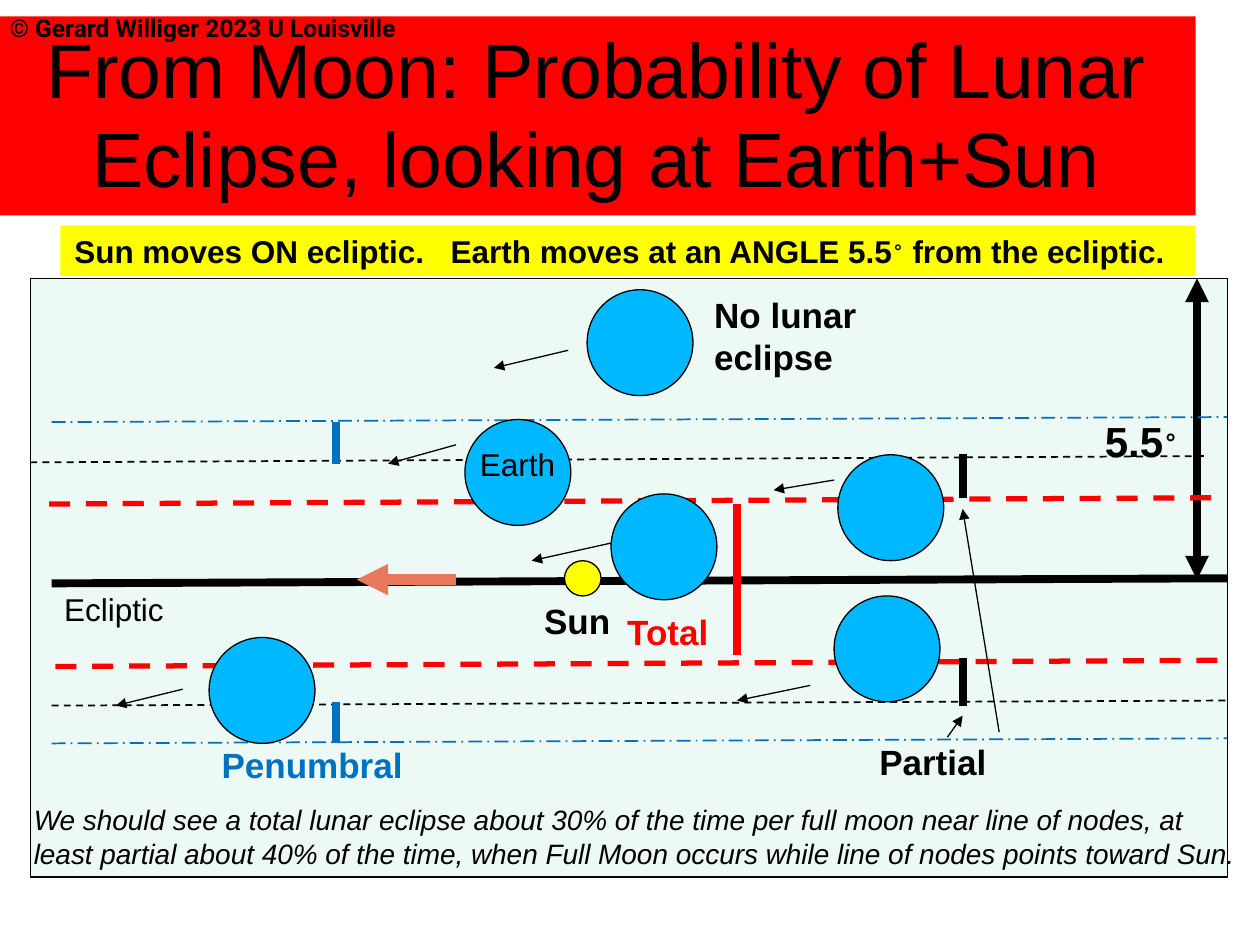
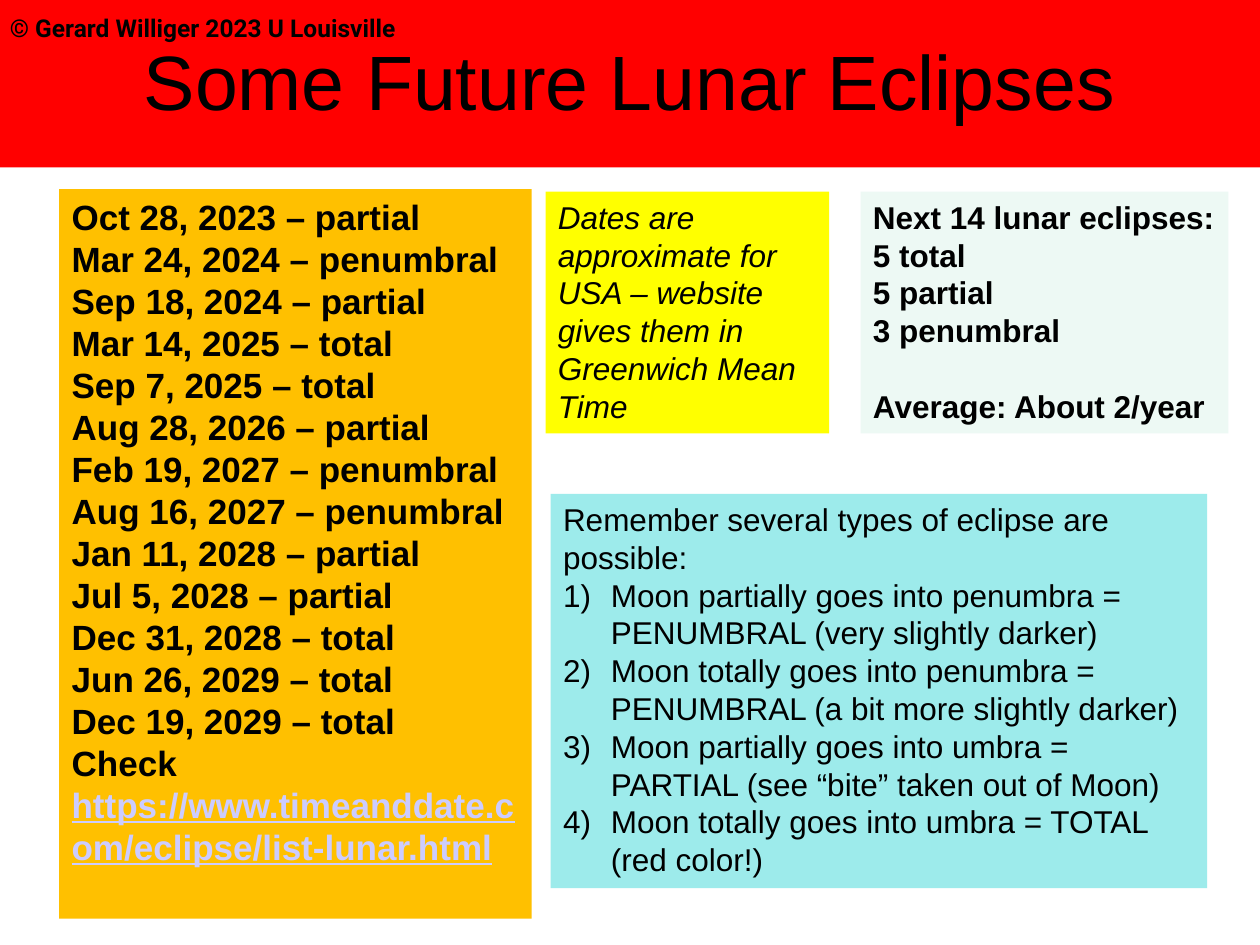
from lxml import etree
from pptx import Presentation
from pptx.dml.color import RGBColor
from pptx.enum.dml import MSO_LINE
from pptx.enum.shapes import MSO_CONNECTOR, MSO_SHAPE
from pptx.enum.text import MSO_ANCHOR, PP_ALIGN
from pptx.oxml.ns import qn
from pptx.util import Inches, Pt

RECT, OVAL = MSO_SHAPE.RECTANGLE, MSO_SHAPE.OVAL
LEFT, CENTER = PP_ALIGN.LEFT, PP_ALIGN.CENTER
TOP, MIDDLE, BOTTOM = MSO_ANCHOR.TOP, MSO_ANCHOR.MIDDLE, MSO_ANCHOR.BOTTOM
STRAIGHT = MSO_CONNECTOR.STRAIGHT
DASH, DOTTED = MSO_LINE.DASH, MSO_LINE.LONG_DASH_DOT

BLACK, RED, YELLOW, BLUE = "000000", "FF0000", "FFFF00", "0070C0"
EARTH, MINT, AMBER, AQUA = "00B8FF", "EDF9F4", "FFC000", "9DEBEB"
CORAL, LINK = "E8795C", "CCCCFF"
DISC = 0.84
INSETS = (0.1, 0.05, 0.1, 0.05)
DEGREE = ("∘", {"raised": True})


def rgb(code):
    return RGBColor.from_string(code)


def node(parent, tag, **attrs):
    return etree.SubElement(parent, qn(tag), attrs)


# Elements
def shape(slide, kind, box, fill, line=None):
    item = slide.shapes.add_shape(kind, *map(Inches, box))
    item.shadow.inherit = False
    item.fill.solid()
    item.fill.fore_color.rgb = rgb(fill)
    if line:
        item.line.color.rgb = rgb(line)
        item.line.width = Pt(0.75)
    else:
        item.line.fill.background()
    return item


def line(slide, start, end, color=BLACK, width=0.75, dash=None,
         head=False, tail=False):
    item = slide.shapes.add_connector(STRAIGHT, *map(Inches, start + end))
    item.line.color.rgb = rgb(color)
    item.line.width = Pt(width)
    if dash:
        item.line.dash_style = dash
    ln = item.line._get_or_add_ln()
    for tag, shown in (("a:headEnd", head), ("a:tailEnd", tail)):
        if shown:
            node(ln, tag, type="triangle")
    node(item._element.spPr, "a:effectLst")


def number(para):
    props = para._p.get_or_add_pPr()
    props.set("marL", str(Inches(0.38)))
    props.set("indent", str(Inches(-0.38)))
    node(node(props, "a:buClr"), "a:srgbClr", val=BLACK)
    node(props, "a:buAutoNum", type="arabicParenR")


def add_run(para, words, size, color, bold, italic, font,
            under=False, raised=False, gap=0):
    run = para.add_run()
    run.text = words
    face = run.font
    face.name, face.size, face.bold, face.italic = font, Pt(size), bold, italic
    face.color.rgb = rgb(color)
    if under:
        face.underline = True
    if raised:
        run._r.get_or_add_rPr().set("baseline", "30000")
    if gap:
        run._r.get_or_add_rPr().set("spc", str(gap * 100))


def text(slide, box, paras, fill=None, size=18, color=BLACK, bold=False,
         italic=False, font="Arial", align=LEFT, anchor=TOP, insets=INSETS,
         spacing=None, first=None, before=None):
    """Each paragraph is a string or a list of strings and (words, format).

    Paragraphs from index first on are numbered; before maps an index
    to its space before in points.
    """
    if fill:
        item = shape(slide, RECT, box, fill)
    else:
        item = slide.shapes.add_textbox(*map(Inches, box))
    frame = item.text_frame
    frame.word_wrap = True
    frame.vertical_anchor = anchor
    (frame.margin_left, frame.margin_top,
     frame.margin_right, frame.margin_bottom) = map(Inches, insets)
    for i, runs in enumerate(paras):
        para = frame.add_paragraph() if i else frame.paragraphs[0]
        para.alignment = align
        if spacing:
            para.line_spacing = spacing
        if before and i in before:
            para.space_before = Pt(before[i])
        if first is not None and i >= first:
            number(para)
        for run in [runs] if isinstance(runs, str) else runs:
            words, extra = (run, {}) if isinstance(run, str) else run
            base = dict(size=size, color=color, bold=bold,
                        italic=italic, font=font)
            add_run(para, words, **(base | extra))


# Shared by the slides
def title(slide, box, words):
    text(slide, box, [words], fill=RED, size=44, align=CENTER,
         anchor=MIDDLE, spacing=0.97)


def credit(slide):
    text(slide, (-0.02, 0, 3.69, 0.44),
         ["© Gerard Williger 2023 U Louisville"], size=14, bold=True,
         font="Roboto", anchor=BOTTOM, insets=(0.1,) * 4)


# Slide 1
def odds(slide):
    title(slide, (-0.02, 0.13, 9.51, 1.58),
          "From Moon: Probability of Lunar Eclipse, looking at Earth+Sun")
    shape(slide, RECT, (0.24, 2.21, 9.5, 4.75), MINT, BLACK)

    # Ecliptic, angle and Sun
    line(slide, (0.41, 4.63), (9.74, 4.59), width=4.5)
    text(slide, (0.41, 4.63, 2.08, 0.4), ["Ecliptic"])
    line(slide, (9.5, 2.21), (9.5, 4.6), width=4.5, head=True, tail=True)
    text(slide, (8.67, 3.25, 1.17, 0.5), [["5.5", DEGREE]],
         size=24, bold=True)
    shape(slide, OVAL, (4.48, 4.45, 0.29, 0.28), YELLOW, BLACK)

    # Shadow limits: left, its height, right height, format
    for x, y1, y2, color, width, dash in (
            (0.44, 5.29, 5.24, RED, 3, DASH),
            (0.39, 4, 3.95, RED, 3, DASH),
            (0.24, 3.67, 3.62, BLACK, 1, DASH),
            (0.41, 3.35, 3.31, BLUE, 1, DOTTED),
            (0.41, 5.6, 5.56, BLACK, 1, DASH),
            (0.41, 5.9, 5.86, BLUE, 1, DOTTED)):
        line(slide, (x, y1), (x + 9.33, y2), color, width, dash)

    # Bars that mark each kind of eclipse
    for x, y1, y2, color in (
            (5.85, 4, 5.2, RED),
            (7.64, 3.6, 3.95, BLACK), (7.64, 5.22, 5.6, BLACK),
            (2.67, 5.57, 5.9, BLUE), (2.67, 3.35, 3.68, BLUE)):
        line(slide, (x, y1), (x, y2), color, 4.5)

    # Motion arrows, then the two pointers from "Partial"
    for start, end in (
            ((4.51, 2.78), (3.92, 2.92)), ((3.62, 3.53), (3.08, 3.68)),
            ((4.85, 4.31), (4.22, 4.45)), ((6.62, 3.81), (6.14, 3.89)),
            ((1.45, 5.47), (0.92, 5.6)), ((6.43, 5.44), (5.85, 5.56)),
            ((7.52, 5.85), (7.64, 5.68)), ((7.93, 5.81), (7.64, 4.04))):
        line(slide, start, end, tail=True)

    # Labels
    for box, words, color in (
            ((4.22, 4.71, 0.96, 0.44), "Sun", BLACK),
            ((4.88, 4.8, 1.07, 0.44), "Total", RED),
            ((6.88, 5.83, 1.29, 0.44), "Partial", BLACK),
            ((1.66, 5.85, 1.68, 0.44), "Penumbral", BLUE),
            ((5.57, 2.28, 1.84, 0.77), "No lunar eclipse", BLACK)):
        text(slide, box, [words], size=20, color=color, bold=True)
    text(slide, (0.17, 6.32, 9.84, 0.64),
         ["We should see a total lunar eclipse about 30% of the time per "
          "full moon near line of nodes, at least partial about 40% of the "
          "time, when Full Moon occurs while line of nodes points toward "
          "Sun."], size=16, italic=True)

    # Earth at each place
    for x, y in ((4.66, 2.3), (3.69, 3.33), (6.65, 3.61), (4.85, 3.92),
                 (6.62, 4.73), (1.66, 5.06)):
        shape(slide, OVAL, (x, y, DISC, DISC), EARTH, BLACK)
    text(slide, (3.71, 3.48, 0.84, 0.4), ["Earth"])

    # Yellow strip and the Sun's motion
    text(slide, (0.48, 1.79, 9.01, 0.4),
         [["Sun moves ON ecliptic.", (" ", {"gap": 10}),
           "Earth moves at an ANGLE 5.5", DEGREE, " from the ecliptic."]],
         fill=YELLOW, bold=True, insets=(0.11, 0.05, 0, 0.05))
    line(slide, (3.62, 4.6), (2.83, 4.6), CORAL, 6, tail=True)
    credit(slide)


# Slide 2
def future(slide):
    title(slide, (0, 0, 10, 1.33), "Some Future Lunar Eclipses")
    dates = (("Oct 28, 2023", "partial"), ("Mar 24, 2024", "penumbral"),
             ("Sep 18, 2024", "partial"), ("Mar 14, 2025", "total"),
             ("Sep 7, 2025", "total"), ("Aug 28, 2026", "partial"),
             ("Feb 19, 2027", "penumbral"), ("Aug 16, 2027", "penumbral"),
             ("Jan 11, 2028", "partial"), ("Jul 5, 2028", "partial"),
             ("Dec 31, 2028", "total"), ("Jun 26, 2029", "total"),
             ("Dec 19, 2029", "total"))
    site = ("https://www.timeanddate.com/eclipse/list-lunar.html",
            {"color": LINK, "under": True})
    text(slide, (0.47, 1.5, 3.75, 5.79),
         [f"{day} – {kind}" for day, kind in dates] + [["Check ", site]],
         fill=AMBER, size=20, bold=True)
    text(slide, (4.33, 1.52, 2.25, 1.92),
         ["Dates are approximate for USA – website gives them in "
          "Greenwich Mean Time"], fill=YELLOW, italic=True)
    text(slide, (4.37, 3.92, 5.21, 3.13),
         ["Remember several types of eclipse are possible:",
          "Moon partially goes into penumbra = PENUMBRAL "
          "(very slightly darker)",
          "Moon totally goes into penumbra = PENUMBRAL "
          "(a bit more slightly darker)",
          "Moon partially goes into umbra = PARTIAL "
          "(see “bite” taken out of Moon)",
          "Moon totally goes into umbra = TOTAL (red color!)"],
         fill=AQUA, first=1)
    text(slide, (6.83, 1.52, 2.92, 1.92),
         ["Next 14 lunar eclipses:", "5 total", "5 partial", "3 penumbral",
          "Average: About 2/year"], fill=MINT, bold=True, before={4: 21.6})
    credit(slide)


def main():
    deck = Presentation()
    deck.slide_width, deck.slide_height = Inches(10), Inches(7.5)
    blank = deck.slide_layouts[6]
    for build in (odds, future):
        build(deck.slides.add_slide(blank))
    deck.save("out.pptx")


if __name__ == "__main__":
    main()
